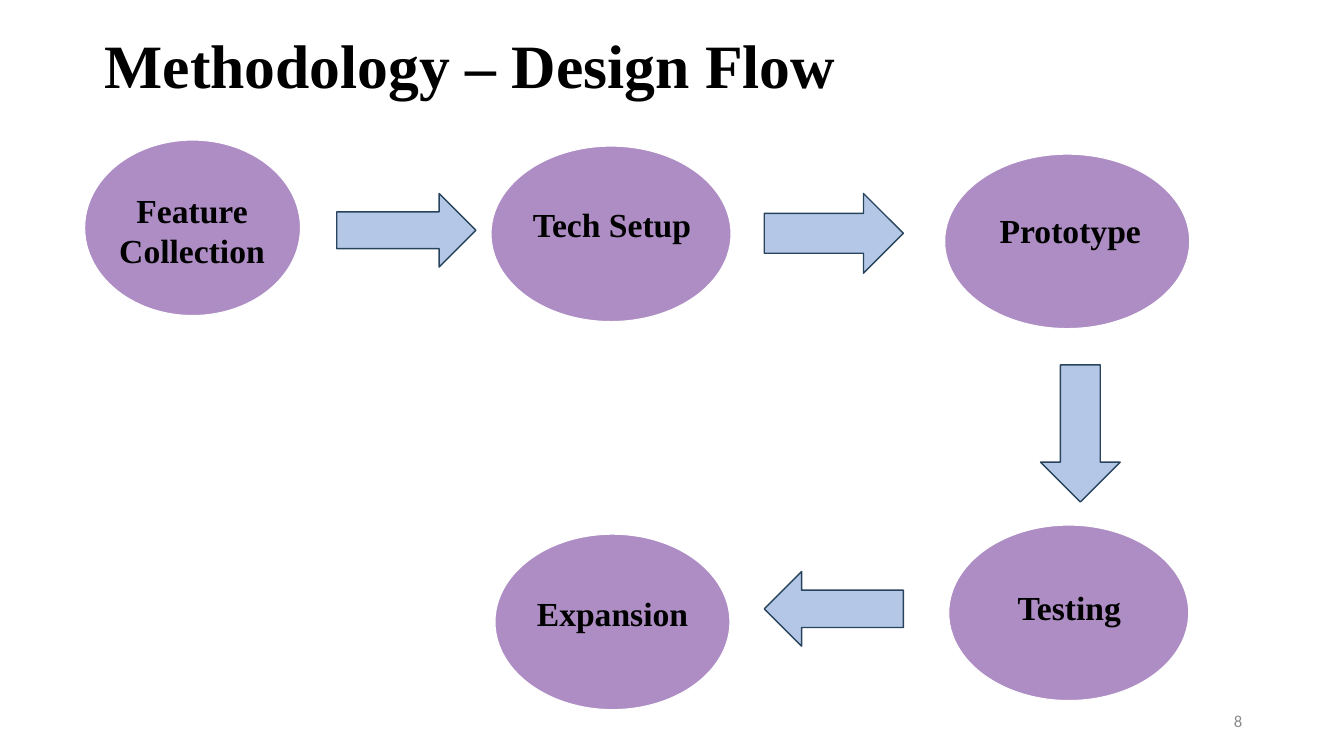
from dataclasses import dataclass

from pptx import Presentation
from pptx.dml.color import RGBColor
from pptx.enum import shapes, text
from pptx.util import Inches, Pt

SHAPE = shapes.MSO_SHAPE
ALIGN = text.PP_ALIGN
ANCHOR = text.MSO_ANCHOR


@dataclass(frozen=True)
class Theme:
    serif: str = "Times New Roman"
    sans: str = "Calibri"
    ink: str = "000000"
    muted: str = "8C8C8C"
    stage_fill: str = "AD8DC4"
    stage_line: str = "FFFFFF"
    arrow_fill: str = "B4C7E7"
    arrow_line: str = "28445D"
    title_size: float = 44
    label_size: float = 24
    number_size: float = 12


THEME = Theme()

# Each stage: name, oval (left, top, width, height), label (left, top, width, height)
STAGES = [
    ("Feature Collection", (0.84, 1.39, 2.14, 1.74), (0.84, 1.83, 2.13, 0.91)),
    ("Tech Setup", (4.87, 1.45, 2.38, 1.74), (5.12, 1.97, 1.9, 0.5)),
    ("Prototype", (9.37, 1.53, 2.43, 1.73), (9.54, 2.03, 2.15, 0.5)),
    ("Testing", (9.41, 5.21, 2.38, 1.74), (9.53, 5.77, 2.15, 0.5)),
    ("Expansion", (4.91, 5.3, 2.33, 1.74), (5.12, 5.83, 1.91, 0.5)),
]

ARROWS = [
    (SHAPE.RIGHT_ARROW, (3.34, 1.92, 1.38, 0.73)),
    (SHAPE.RIGHT_ARROW, (7.58, 1.92, 1.38, 0.79)),
    (SHAPE.DOWN_ARROW, (10.32, 3.62, 0.79, 1.36)),
    (SHAPE.LEFT_ARROW, (7.58, 5.67, 1.38, 0.74)),
]


def add_solid(page, kind, area, fill, line, weight):
    """Add a preset shape with a plain fill and outline."""
    solid = page.shapes.add_shape(kind, *map(Inches, area))
    solid.shadow.inherit = False
    solid.fill.solid()
    solid.fill.fore_color.rgb = RGBColor.from_string(fill)
    solid.line.color.rgb = RGBColor.from_string(line)
    solid.line.width = Pt(weight)


def add_text(page, words, area, size, font=THEME.serif, color=THEME.ink,
             bold=True, align=ALIGN.CENTER, anchor=ANCHOR.TOP, spacing=None):
    box = page.shapes.add_textbox(*map(Inches, area))
    frame = box.text_frame
    frame.word_wrap = True
    frame.vertical_anchor = anchor
    para = frame.paragraphs[0]
    para.alignment = align
    para.line_spacing = spacing
    span = para.add_run()
    span.text = words
    span.font.name = font
    span.font.size = Pt(size)
    span.font.bold = bold
    span.font.color.rgb = RGBColor.from_string(color)


def add_stage(page, name, oval, label):
    add_solid(page, SHAPE.FLOWCHART_CONNECTOR, oval,
              THEME.stage_fill, THEME.stage_line, 0.75)
    add_text(page, name, label, THEME.label_size)


def main():
    deck = Presentation()
    deck.slide_width = Inches(13.33)
    deck.slide_height = Inches(7.5)
    page = deck.slides.add_slide(deck.slide_layouts[6])

    add_text(page, "Methodology – Design Flow", (0.94, 0.15, 11.47, 1.06),
             THEME.title_size, align=ALIGN.LEFT, anchor=ANCHOR.MIDDLE, spacing=0.9)
    for stage in STAGES:
        add_stage(page, *stage)
    for kind, area in ARROWS:
        add_solid(page, kind, area, THEME.arrow_fill, THEME.arrow_line, 1)
    add_text(page, "8", (9.42, 6.95, 3, 0.4), THEME.number_size, THEME.sans,
             THEME.muted, bold=False, align=ALIGN.RIGHT, anchor=ANCHOR.MIDDLE)

    deck.save("out.pptx")


if __name__ == "__main__":
    main()
